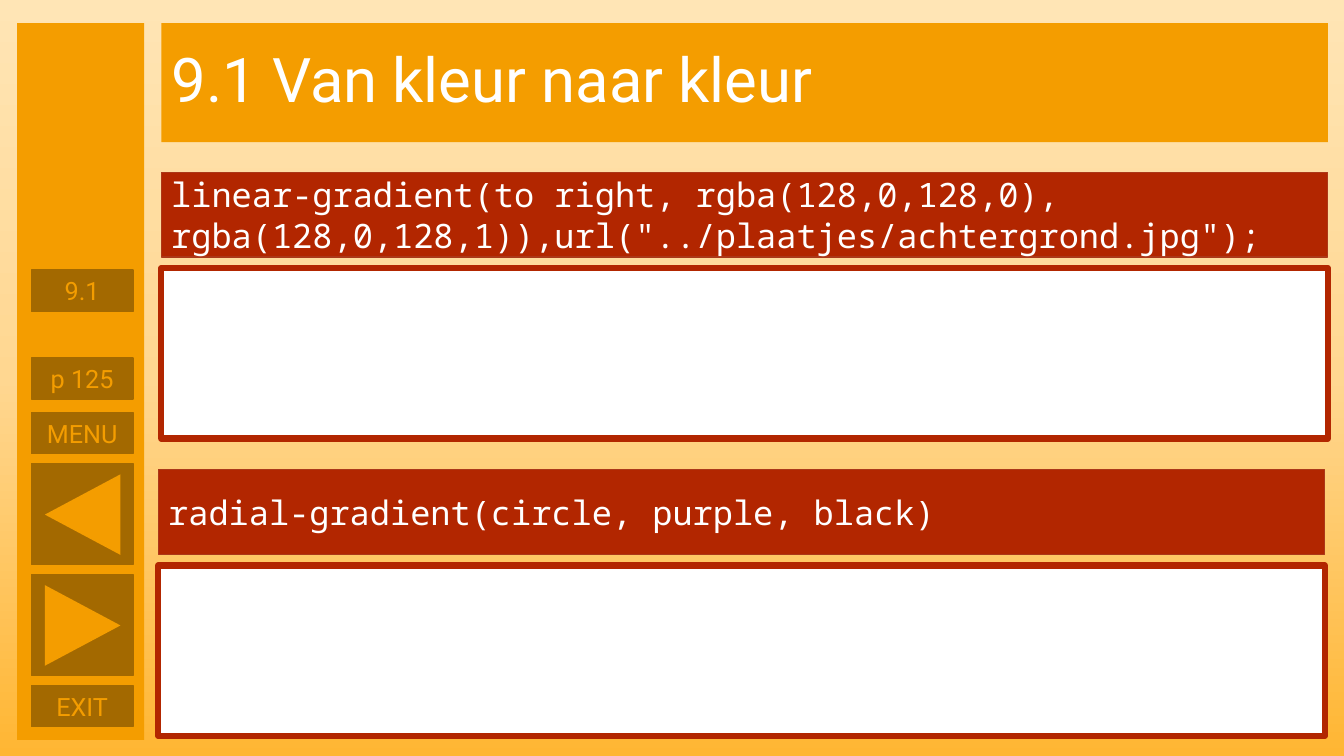
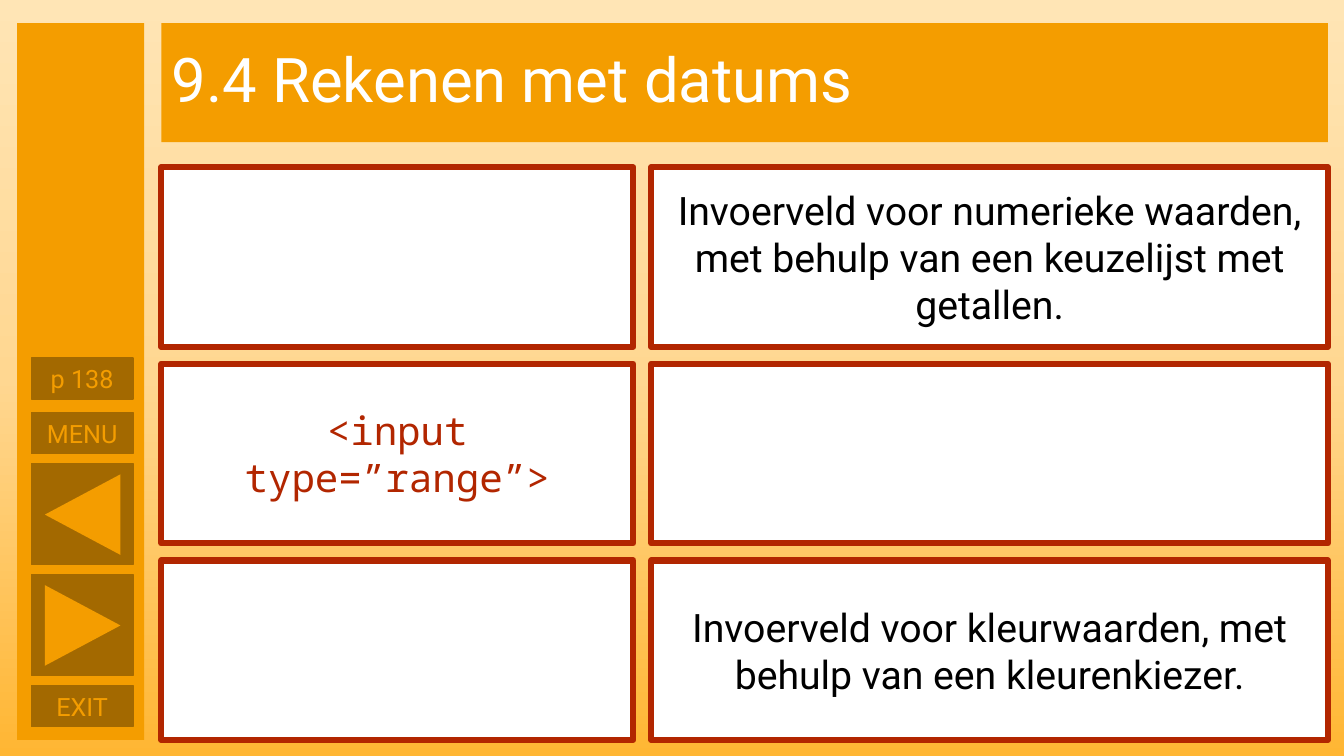
from copy import deepcopy

from pptx import Presentation
from pptx import util as u
from pptx.dml import color
from pptx.enum import shapes, text
from pptx.oxml import ns

AMBER, BROWN, RED, EDGE = "F49D00", "A36900", "B22600", "AC3819"
WHITE, BLACK = "FFFFFF", "000000"
SKY = [(0, "FFE5B5"), (0.5, "FFD791"), (1, "FFB633")]
SANS, MONO = "Roboto", "Noto Sans Mono"
RECT = shapes.MSO_SHAPE.RECTANGLE
TRI = shapes.MSO_SHAPE.ISOSCELES_TRIANGLE
LEFT, MID = text.PP_ALIGN.LEFT, text.PP_ALIGN.CENTER


def rgb(code):
    """Turn a hex string into a colour."""
    return color.RGBColor.from_string(code)


def write(shape, words, size, font, ink, align=MID):
    """Put one formatted run in a shape, centred vertically."""
    frame = shape.text_frame
    frame.word_wrap = True
    frame.vertical_anchor = text.MSO_ANCHOR.MIDDLE
    para = frame.paragraphs[0]
    para.alignment = align
    run = para.add_run()
    run.text = words
    run.font.size = u.Pt(size)
    run.font.name = font
    run.font.color.rgb = rgb(ink)
    return para


def draw(slide, box, fill, line=None, width=1, kind=RECT):
    """Add a flat shape in the given box of inches."""
    shape = slide.shapes.add_shape(kind, *map(u.Inches, box))
    shape.shadow.inherit = False
    shape.fill.solid()
    shape.fill.fore_color.rgb = rgb(fill)
    if line:
        shape.line.color.rgb = rgb(line)
        shape.line.width = u.Pt(width)
    else:
        shape.line.fill.background()
    return shape


def paint(master):
    """Give the master its vertical three-stop gradient."""
    fill = master.background.fill
    fill.gradient()
    fill.gradient_angle = 270
    stops = master.element.find(".//" + ns.qn("a:gsLst"))
    stops.append(deepcopy(stops[0]))
    for stop, (place, code) in zip(fill.gradient_stops, SKY):
        stop.position = place
        stop.color.rgb = rgb(code)


def head(slide, box, words):
    """Place and format the title band."""
    title = slide.shapes.title
    title.left, title.top, title.width, title.height = map(u.Inches, box)
    title.fill.solid()
    title.fill.fore_color.rgb = rgb(AMBER)
    para = write(title, words, 44, SANS, WHITE, LEFT)
    para.line_spacing = 0.9
    title.text_frame.auto_size = text.MSO_AUTO_SIZE.NONE


def menu(slide, box, page, part=None):
    """Draw the side bar with its buttons and arrows."""
    left, top = box[:2]
    draw(slide, box, AMBER)
    labels = [("EXIT", 6.57), ("MENU", 3.86), (page, 3.32)]
    if part:
        labels.append((part, 2.45))
    for words, drop in labels:
        key = draw(slide, (left + 0.14, top + drop, 1.01, 0.41), BROWN, BROWN)
        write(key, words, 18, SANS, AMBER)
    for drop, turn in ((5.47, 90), (4.37, 270)):
        draw(slide, (left + 0.14, top + drop, 1.01, 1), BROWN, BROWN)
        arrow = draw(slide, (left + 0.25, top + drop + 0.13, 0.8, 0.75),
                     AMBER, kind=TRI)
        arrow.rotation = turn


def panel(slide, box, words=None, font=SANS, ink=BLACK):
    """Draw a white panel with a red border and optional text."""
    shape = draw(slide, box, WHITE, RED, 4.5)
    if words:
        write(shape, words, 28, font, ink)


def sample(slide, box, code):
    """Stack a code bar on an empty panel within the box."""
    left, top, width, height = box
    bar = draw(slide, (left, top, width, 0.84), RED, EDGE)
    write(bar, code, 24, MONO, WHITE, LEFT)
    panel(slide, (left, top + 0.95, width, height - 0.95))


def grid(slide, box, rows):
    """Fill the box with rows of a code panel and a text panel."""
    left, top, width, height = box
    gap, first = 0.17, 4.68
    tall = (height - gap * (len(rows) - 1)) / len(rows)
    for row, (code, words) in enumerate(rows):
        y = top + row * (tall + gap)
        panel(slide, (left, y, first, tall), code, MONO, RED)
        panel(slide, (left + first + 0.18, y, width - first - 0.18, tall), words)


def base(deck, title, page, part=None):
    """Add a slide with the shared title band and side bar."""
    slide = deck.slides.add_slide(deck.slide_layouts[5])
    head(slide, (1.6, 0.23, 11.57, 1.18), title)
    menu(slide, (0.17, 0.23, 1.26, 7.11), page, part)
    return slide


def main():
    """Build and save both slides."""
    deck = Presentation()
    deck.slide_width, deck.slide_height = u.Inches(13.33), u.Inches(7.5)
    paint(deck.slide_master)

    slide = base(deck, "9.1 Van kleur naar kleur", "p 125", "9.1")
    sample(slide, (1.6, 1.71, 11.57, 2.64),
           "linear-gradient(to right, rgba(128,0,128,0), "
           "rgba(128,0,128,1)),url(\"../plaatjes/achtergrond.jpg\");")
    sample(slide, (1.57, 4.66, 11.57, 2.64),
           "radial-gradient(circle, purple, black)")

    slide = base(deck, "9.4 Rekenen met datums", "p 138")
    grid(slide, (1.6, 1.66, 11.57, 5.68), [
        (None, "Invoerveld voor numerieke waarden, met behulp van een "
               "keuzelijst met getallen."),
        ("<input type=”range”>", None),
        (None, "Invoerveld voor kleurwaarden, met behulp van een "
               "kleurenkiezer."),
    ])
    deck.save("out.pptx")


if __name__ == "__main__":
    main()
